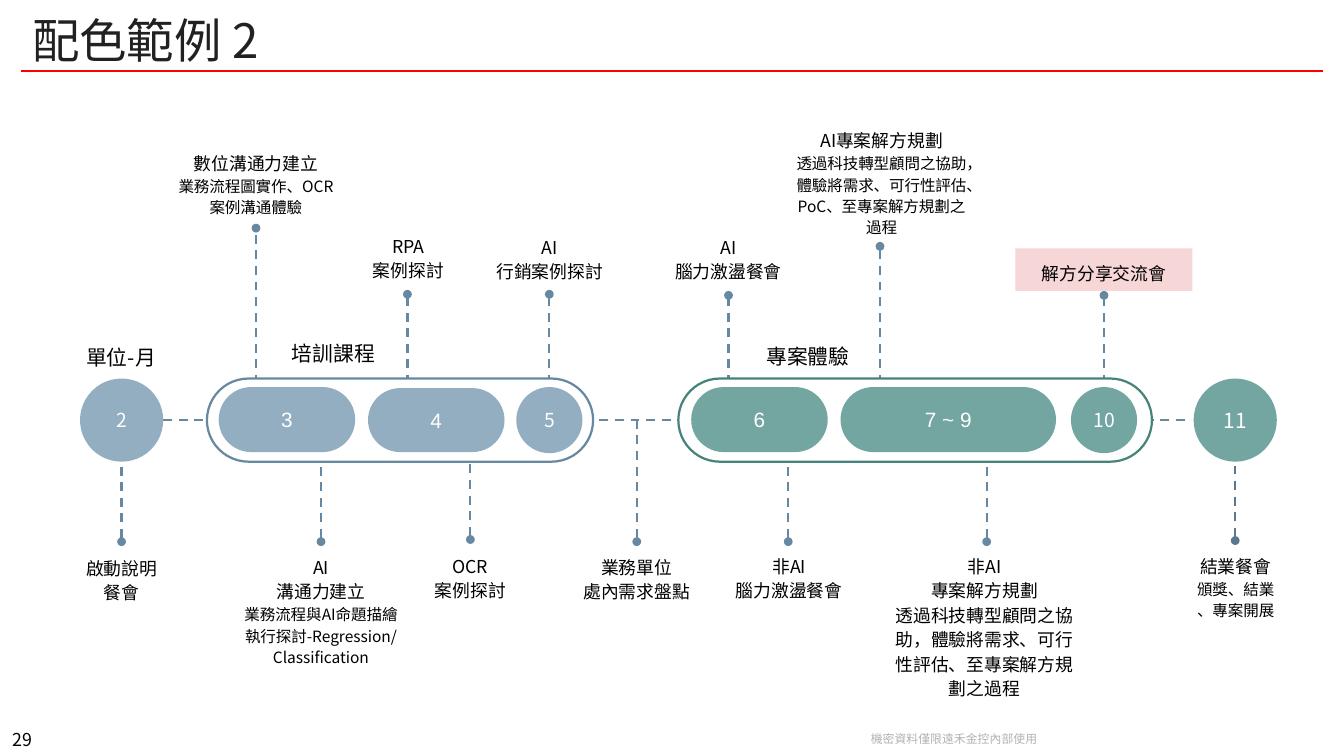
import pptx
import pptx.util
import pptx.dml.color
import pptx.enum.dml
import pptx.enum.shapes
import pptx.enum.text
import pptx.oxml
from lxml import etree
from pptx.util import Inches, Pt

HUES = {
    "black": "000000", "white": "FFFFFF", "title": "212121", "grey": "B2B2B2",
    "red": "FF0000", "blue": "93AEC1", "steel": "6689A1", "slate": "58798F",
    "green": "73A6A0", "pine": "46847B", "pink": "F6D6D7",
}
RGB = {key: pptx.dml.color.RGBColor.from_string(val) for key, val in HUES.items()}
SANS = "Noto Sans CJK TC"
KIND = pptx.enum.shapes.MSO_SHAPE
ALIGN = pptx.enum.text.PP_ALIGN
ANCHOR = pptx.enum.text.MSO_ANCHOR
SPACE = pptx.oxml.ns.nsdecls("a")


def write(frame, rows, hue="black", font=SANS, space=None, align=ALIGN.CENTER,
          anchor=ANCHOR.TOP, pad=0.1, wrap=True):
    frame.word_wrap = wrap
    frame.vertical_anchor = anchor
    frame.margin_left = frame.margin_right = Inches(0.1)
    frame.margin_top = frame.margin_bottom = Inches(pad)
    for i, (text, size) in enumerate(rows):
        para = frame.paragraphs[0] if i == 0 else frame.add_paragraph()
        para.alignment = align
        if space:
            para.line_spacing = space
        run = para.add_run()
        run.text = text
        run.font.size = Pt(size)
        run.font.name = font
        run.font.color.rgb = RGB[hue]
        east = pptx.oxml.parse_xml(f'<a:ea {SPACE} typeface="{font}"/>')
        run.font._element.append(east)


def draw(x1, y1, x2, y2, hue="steel", width=1.5, dash=True, dot=None):
    link = slide.shapes.add_connector(
        pptx.enum.shapes.MSO_CONNECTOR.STRAIGHT,
        Inches(x1), Inches(y1), Inches(x2), Inches(y2))
    link.line.color.rgb = RGB[hue]
    link.line.width = Pt(width)
    if dash:
        link.line.dash_style = pptx.enum.dml.MSO_LINE.DASH
    if dot:
        end = etree.SubElement(link.line._get_or_add_ln(), pptx.oxml.ns.qn("a:" + dot))
        end.set("type", "oval")
    etree.SubElement(link._element.spPr, pptx.oxml.ns.qn("a:effectLst"))


deck = pptx.Presentation()
deck.slide_width = Inches(12.6)
deck.slide_height = Inches(7.09)
slide = deck.slides.add_slide(deck.slide_layouts[5])

title = slide.shapes.title
title.left, title.top = Inches(0.2), Inches(0.08)
title.width, title.height = Inches(12.21), Inches(0.59)
write(title.text_frame, [("配色範例 2", 32)], "title", align=ALIGN.LEFT,
      anchor=ANCHOR.MIDDLE, pad=0.05)
draw(0.2, 0.67, 12.4, 0.67, "red", 1.25, dash=False)

page = slide.shapes.add_textbox(Inches(0), Inches(6.82), Inches(0.42), Inches(0.26))
write(page.text_frame, [("29", 12)], space=0.83, anchor=ANCHOR.BOTTOM,
      pad=0.05, wrap=False)
foot = slide.shapes.add_textbox(Inches(8.05), Inches(6.81), Inches(1.79), Inches(0.23))
write(foot.text_frame, [("機密資料僅限遠禾金控內部使用", 8)], "grey", "Noto Sans CJK SC",
      Pt(9.6), anchor=ANCHOR.MIDDLE, pad=0.05, wrap=False)

draw(1.53, 3.94, 11.17, 3.94)
for x, top in [(2.4, 2.14), (3.82, 2.76), (5.15, 2.76), (6.83, 2.77),
               (8.25, 2.31), (10.35, 2.77)]:
    draw(x, 3.6, x, top, dot="tailEnd")
for x, low, high, hue in [
        (1.14, 5.08, 4.24, "steel"), (3.01, 5.08, 4.25, "steel"),
        (4.41, 5.06, 4.23, "steel"), (5.97, 5.08, 3.94, "steel"),
        (7.39, 5.08, 4.24, "steel"), (9.25, 5.08, 4.21, "steel"),
        (11.58, 5.07, 4.24, "slate")]:
    draw(x, low, x, high, hue, dot="headEnd")

PILL, DISC = KIND.ROUNDED_RECTANGLE, KIND.OVAL
for kind, x, y, wide, tall, fill, edge, text, size in [
        (PILL, 1.94, 3.55, 3.62, 0.78, "white", "steel", None, 0),
        (PILL, 6.36, 3.55, 4.44, 0.78, "white", "pine", None, 0),
        (DISC, 0.75, 3.55, 0.78, 0.78, "blue", None, "2", 13),
        (PILL, 2.05, 3.63, 1.28, 0.61, "blue", None, "3", 14),
        (PILL, 3.45, 3.64, 1.28, 0.6, "blue", None, "4", 14),
        (DISC, 4.84, 3.63, 0.62, 0.62, "blue", None, "5", 13),
        (PILL, 6.48, 3.63, 1.28, 0.61, "green", None, "6", 14),
        (PILL, 7.88, 3.63, 2.02, 0.61, "green", None, "7 ~ 9", 14),
        (DISC, 10.04, 3.63, 0.62, 0.62, "green", None, "10", 13),
        (DISC, 11.19, 3.55, 0.78, 0.78, "green", None, "11", 14),
        (KIND.RECTANGLE, 9.52, 2.33, 1.66, 0.4, "pink", None, None, 0)]:
    shape = slide.shapes.add_shape(kind, Inches(x), Inches(y), Inches(wide), Inches(tall))
    shape.shadow.inherit = False
    shape.fill.solid()
    shape.fill.fore_color.rgb = RGB[fill]
    if kind == PILL:
        shape.adjustments[0] = 0.5
    if edge:
        shape.line.color.rgb = RGB[edge]
        shape.line.width = Pt(1.5)
    else:
        shape.line.fill.background()
    if text:
        write(shape.text_frame, [(text, size)], "white",
              "Arial" if kind == PILL else SANS, anchor=ANCHOR.MIDDLE,
              pad=0.05 if kind == PILL else 0.1)
    if fill == "pink":
        write(shape.text_frame, [("解方分享交流會", 12)], space=1.15)

for x, y, wide, text, align in [
        (0.71, 3.13, 0.98, "單位-月", ALIGN.LEFT),
        (2, 3.1, 2.25, "培訓課程", ALIGN.CENTER),
        (6.45, 3.12, 2.25, "專案體驗", ALIGN.CENTER)]:
    head = slide.shapes.add_textbox(Inches(x), Inches(y), Inches(wide), Inches(0.44))
    write(head.text_frame, [(text, 14)], align=align)

for x, y, wide, tall, rows in [
        (1.57, 1.3, 1.66, 0.84, [("數位溝通力建立", 12),
                                 ("業務流程圖實作、OCR案例溝通體驗", 10.5)]),
        (3, 2.08, 1.66, 0.67, [("RPA", 12), ("案例探討", 12)]),
        (4.17, 2.09, 1.97, 0.67, [("AI", 12), ("行銷案例探討", 12)]),
        (6, 2.09, 1.66, 0.67, [("AI", 12), ("腦力激盪餐會", 12)]),
        (7.33, 1.09, 1.87, 1.29, [
            ("AI專案解方規劃", 12),
            ("透過科技轉型顧問之協助，體驗將需求、可行性評估、PoC、至專案解方規劃之過程", 10.5)]),
        (0.31, 5.1, 1.66, 0.67, [("啟動說明", 12), ("餐會", 12)]),
        (2.18, 5.09, 1.66, 1.48, [("AI", 12), ("溝通力建立", 12),
                                  ("業務流程與AI命題描繪執行探討-Regression/", 10.5),
                                  ("Classification", 10.5)]),
        (3.58, 5.08, 1.66, 0.67, [("OCR", 12), ("案例探討", 12)]),
        (5.14, 5.09, 1.66, 0.67, [("業務單位", 12), ("處內需求盤點", 12)]),
        (6.57, 5.08, 1.66, 0.67, [("非AI", 12), ("腦力激盪餐會", 12)]),
        (8.24, 5.08, 1.98, 1.83, [
            ("非AI", 12), ("專案解方規劃", 12),
            ("透過科技轉型顧問之協助，體驗將需求、可行性評估、至專案解方規劃之過程", 12)]),
        (10.6, 5.08, 1.97, 0.9, [("結業餐會", 12), ("頒獎、結業", 10.5),
                                 ("、專案開展", 10.5)])]:
    note = slide.shapes.add_textbox(Inches(x), Inches(y), Inches(wide), Inches(tall))
    write(note.text_frame, rows, space=1.15)

deck.save("out.pptx")
